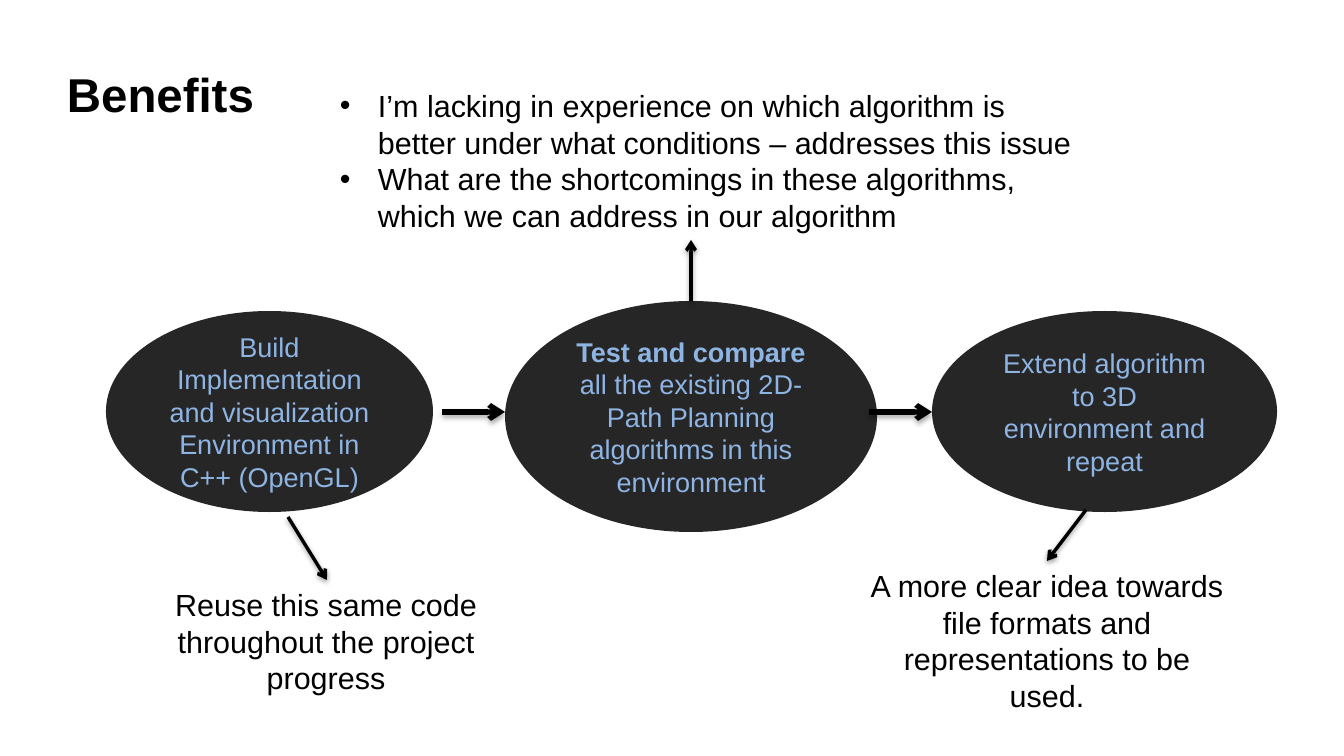
from lxml.etree import SubElement
from pptx import Presentation
from pptx.dml.color import RGBColor
from pptx.enum.shapes import MSO_CONNECTOR, MSO_SHAPE
from pptx.enum.text import MSO_ANCHOR, PP_ALIGN
from pptx.oxml.ns import qn
from pptx.util import Pt

EMU_PER_PX = 7495
BLACK, CHARCOAL, SKY = "000000", "262626", "8EB4E3"


def px(length):
    return length * EMU_PER_PX


def color(value):
    return RGBColor.from_string(value)


class Slide:
    """Holds the style and the current page."""

    font = "Arial"
    title = {"size": Pt(28), "bold": True}
    note = {"size": Pt(18), "bold": False}
    step = {"size": Pt(16), "bold": False}

    def __init__(self, deck):
        self.page = deck.slides.add_slide(deck.slide_layouts[6])

    def add_span(self, paragraph, text, style, ink):
        span = paragraph.add_run()
        span.text = text
        for name, value in {"name": self.font, **style}.items():
            setattr(span.font, name, value)
        span.font.color.rgb = color(ink)

    def text(self, area, lines, style, align=PP_ALIGN.LEFT, bullets=False, **frame):
        box = self.page.shapes.add_textbox(*map(px, area)).text_frame
        for name, value in {"word_wrap": True, **frame}.items():
            setattr(box, name, value)
        for index, line in enumerate(lines):
            paragraph = box.add_paragraph() if index else box.paragraphs[0]
            paragraph.alignment = align
            if bullets:
                self.bullet(paragraph)
            self.add_span(paragraph, line, style, BLACK)

    def bullet(self, paragraph, indent=38):
        properties = paragraph._p.get_or_add_pPr()
        properties.set("marL", str(px(indent)))
        properties.set("indent", str(-px(indent)))
        SubElement(properties, qn("a:buFont"), typeface=self.font)
        SubElement(properties, qn("a:buChar"), char="•")

    def ellipse(self, area, text, lead=""):
        shape = self.page.shapes.add_shape(MSO_SHAPE.OVAL, *map(px, area))
        shape.shadow.inherit = False
        shape.fill.solid()
        shape.fill.fore_color.rgb = color(CHARCOAL)
        shape.line.fill.background()
        box = shape.text_frame
        box.word_wrap = True
        box.vertical_anchor = MSO_ANCHOR.MIDDLE
        paragraph = box.paragraphs[0]
        paragraph.alignment = PP_ALIGN.CENTER
        if lead:
            self.add_span(paragraph, lead, {**self.step, "bold": True}, SKY)
        self.add_span(paragraph, text, self.step, SKY)

    def arrow(self, ends, width, distance, opacity):
        arrow = self.page.shapes.add_connector(MSO_CONNECTOR.STRAIGHT, *map(px, ends))
        arrow.line.color.rgb = color(BLACK)
        arrow.line.width = Pt(width)
        properties = arrow._element.spPr
        SubElement(properties.get_or_add_ln(), qn("a:tailEnd"), type="arrow")
        effects = SubElement(properties, qn("a:effectLst"))
        shadow = SubElement(effects, qn("a:outerShdw"), blurRad=str(Pt(3.1)),
                            dist=str(Pt(distance)), dir="5400000", rotWithShape="0")
        tint = SubElement(shadow, qn("a:srgbClr"), val=BLACK)
        SubElement(tint, qn("a:alpha"), val=str(opacity * 1000))


def main():
    deck = Presentation()
    deck.slide_width, deck.slide_height = px(1344), px(756)
    slide = Slide(deck)

    # Title
    margins = dict.fromkeys(
        ("margin_left", "margin_top", "margin_right", "margin_bottom"), 0)
    slide.text((67, 30, 1210, 127), ["Benefits"], slide.title,
               vertical_anchor=MSO_ANCHOR.MIDDLE, **margins)

    # Three steps
    slide.ellipse((106, 311, 327, 201),
                  "Build Implementation and visualization Environment in C++ (OpenGL)")
    slide.ellipse((932, 311, 345, 201), "Extend algorithm to 3D environment and repeat")
    slide.ellipse((505, 301, 372, 231),
                  "all the existing 2D-Path Planning algorithms in this environment",
                  lead="Test and compare ")

    # Arrows from step to step
    for left in (442, 869):
        slide.arrow((left, 412, left + 63, 412), 3, 1.8, 35)

    # Benefit of each step
    slide.text((134, 580, 384, 123),
               ["Reuse this same code throughout the project progress"],
               slide.note, PP_ALIGN.CENTER)
    slide.text((328, 81, 759, 160),
               ["I’m lacking in experience on which algorithm is better under what "
                "conditions – addresses this issue",
                "What are the shortcomings in these algorithms, which we can address "
                "in our algorithm"],
               slide.note, bullets=True)
    slide.text((855, 561, 384, 160),
               ["A more clear idea towards file formats and representations to be used."],
               slide.note, PP_ALIGN.CENTER)

    # Arrows from step to benefit
    for ends in ((288, 517, 327, 580), (691, 301, 691, 240), (1086, 510, 1047, 561)):
        slide.arrow(ends, 2, 1.6, 38)

    deck.save("out.pptx")


if __name__ == "__main__":
    main()
